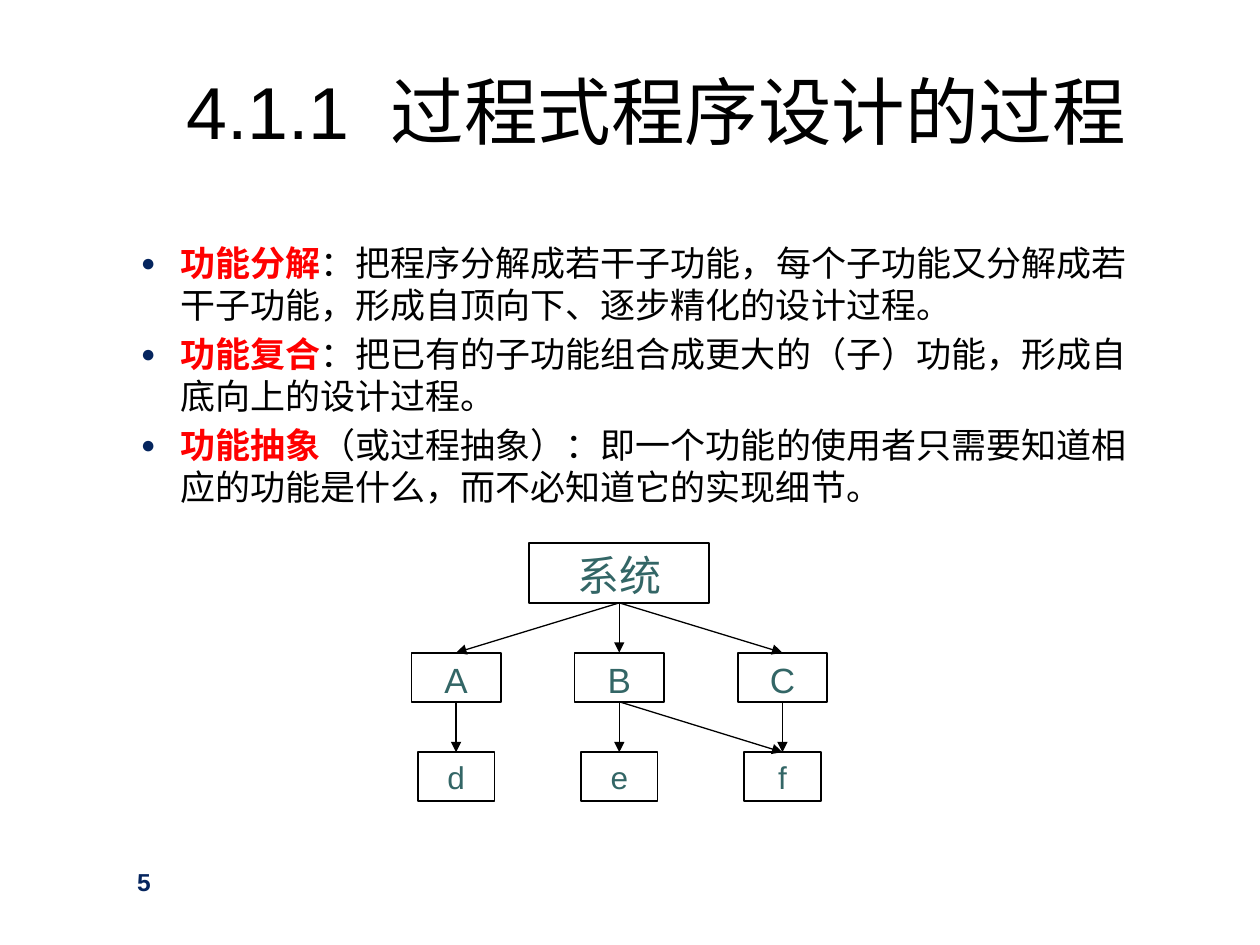
import pptx
import pptx.dml.color
import pptx.enum.shapes
import pptx.enum.text
import pptx.oxml
import pptx.oxml.ns
import pptx.util
import lxml.etree

RGBColor = pptx.dml.color.RGBColor
BLACK = RGBColor(0x00, 0x00, 0x00)
RED = RGBColor(0xFF, 0x00, 0x00)
TEAL = RGBColor(0x33, 0x66, 0x66)
NAVY = RGBColor(0x05, 0x25, 0x5E)

COLUMNS, ROWS = 100, 75
BOTTOM, TOP = 2, 0

POINTS = [
    ("功能分解", "：把程序分解成若干子功能，每个子功能又分解成若干子功能，形成自顶向下、逐步精化的设计过程。"),
    ("功能复合", "：把已有的子功能组合成更大的（子）功能，形成自底向上的设计过程。"),
    ("功能抽象", "（或过程抽象）：即一个功能的使用者只需要知道相应的功能是什么，而不必知道它的实现细节。"),
]

# Each level: labels, top row, box width, box height, text size
LEVELS = [
    (["系统"], 43.1, 14.3, 4.75, 24),
    (["A", "B", "C"], 51.8, 7.1, 3.9, 20),
    (["d", "e", "f"], 59.7, 6.1, 3.9, 18),
]
CENTER, BRANCH_GAP = 49.15, 12.95
CALLS = [("系统", "A"), ("系统", "C"), ("系统", "B"),
         ("B", "f"), ("B", "e"), ("A", "d"), ("C", "f")]


def add_xml(parent, tag, **attributes):
    child = lxml.etree.SubElement(parent, pptx.oxml.ns.qn(tag))
    for name, value in attributes.items():
        child.set(name, value)
    return child


class SlideBuilder:
    """Draws on one slide; lengths are columns and rows of its grid."""

    font_name = "Arial"

    def __init__(self, presentation):
        self.column = presentation.slide_width / COLUMNS
        self.row = presentation.slide_height / ROWS
        self.slide = presentation.slides.add_slide(presentation.slide_layouts[5])

    def place(self, left, top, width, height):
        return (round(left * self.column), round(top * self.row),
                round(width * self.column), round(height * self.row))

    def add_run(self, paragraph, text, size, color, bold=False):
        run = paragraph.add_run()
        run.text = text
        run.font.name = self.font_name
        run.font.size = pptx.util.Pt(size)
        run.font.bold = bold
        run.font.color.rgb = color
        return run

    def title(self, number, text, *area):
        shape = self.slide.shapes.title
        shape.left, shape.top, shape.width, shape.height = self.place(*area)
        frame = shape.text_frame
        frame.auto_size = pptx.enum.text.MSO_AUTO_SIZE.NONE
        frame.vertical_anchor = pptx.enum.text.MSO_ANCHOR.MIDDLE
        paragraph = frame.paragraphs[0]
        paragraph.alignment = pptx.enum.text.PP_ALIGN.LEFT
        self.add_run(paragraph, number, 42, BLACK)
        gap = self.add_run(paragraph, " ", 42, BLACK)
        gap.font._element.set("spc", "1150")
        self.add_run(paragraph, text, 42, BLACK)

    def text_box(self, *area):
        frame = self.slide.shapes.add_textbox(*self.place(*area)).text_frame
        frame.word_wrap = True
        return frame

    def bullets(self, points, *area):
        frame = self.text_box(*area)
        for index, (term, explanation) in enumerate(points):
            paragraph = frame.add_paragraph() if index else frame.paragraphs[0]
            self.add_run(paragraph, term, 20, RED, bold=True)
            self.add_run(paragraph, explanation, 20, BLACK)
            self.format_bullet(paragraph)

    def format_bullet(self, paragraph):
        properties = paragraph._p.get_or_add_pPr()
        properties.set("marL", str(pptx.util.Inches(0.59)))
        properties.set("indent", str(pptx.util.Inches(-0.31)))
        spacing = add_xml(properties, "a:spcBef")
        add_xml(spacing, "a:spcPct", val="20000")
        color = add_xml(properties, "a:buClr")
        add_xml(color, "a:srgbClr", val=str(NAVY))
        add_xml(properties, "a:buSzPct", val="70000")
        add_xml(properties, "a:buFont", typeface=self.font_name)
        add_xml(properties, "a:buChar", char="●")

    def box(self, text, size, *area):
        shape = self.slide.shapes.add_shape(
            pptx.enum.shapes.MSO_SHAPE.RECTANGLE, *self.place(*area))
        shape.shadow.inherit = False
        shape.fill.background()
        shape.line.color.rgb = BLACK
        shape.line.width = pptx.util.Pt(1)
        frame = shape.text_frame
        frame.vertical_anchor = pptx.enum.text.MSO_ANCHOR.TOP
        paragraph = frame.paragraphs[0]
        paragraph.alignment = pptx.enum.text.PP_ALIGN.CENTER
        self.add_run(paragraph, text, size, TEAL)
        return shape

    def arrow(self, caller, callee):
        connector = self.slide.shapes.add_connector(
            pptx.enum.shapes.MSO_CONNECTOR.STRAIGHT, 0, 0, 0, 0)
        connector.begin_connect(caller, BOTTOM)
        connector.end_connect(callee, TOP)
        connector.line.color.rgb = BLACK
        connector.line.width = pptx.util.Pt(0.75)
        add_xml(connector.line._get_or_add_ln(), "a:tailEnd", type="triangle")
        add_xml(connector._element.spPr, "a:effectLst")


def main():
    presentation = pptx.Presentation()
    presentation.slide_width = pptx.util.Inches(10)
    presentation.slide_height = pptx.util.Inches(7.5)
    builder = SlideBuilder(presentation)

    builder.bullets(POINTS, 7.4, 18.7, 83.5, 29.2)
    builder.title("4.1.1", "过程式程序设计的过程", 13.8, 0.4, 80.6, 16.7)

    boxes = {}
    for labels, top, width, height, size in LEVELS:
        for index, label in enumerate(labels):
            center = CENTER + (index - (len(labels) - 1) / 2) * BRANCH_GAP
            boxes[label] = builder.box(
                label, size, center - width / 2, top, width, height)
    for caller, callee in CALLS:
        builder.arrow(boxes[caller], boxes[callee])

    page_number = builder.text_box(9.9, 68.3, 20.8, 5)
    builder.add_run(page_number.paragraphs[0], "5", 14, NAVY, bold=True)

    presentation.save("out.pptx")


if __name__ == "__main__":
    main()
